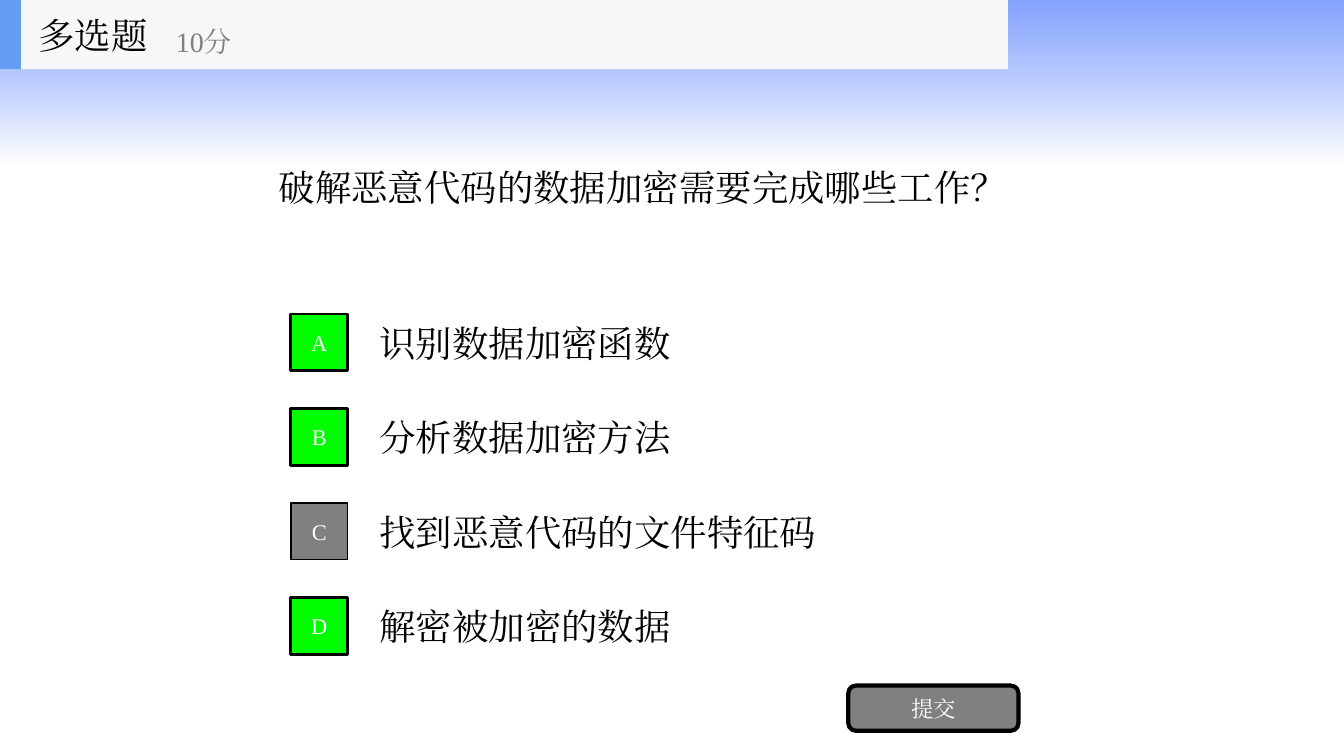
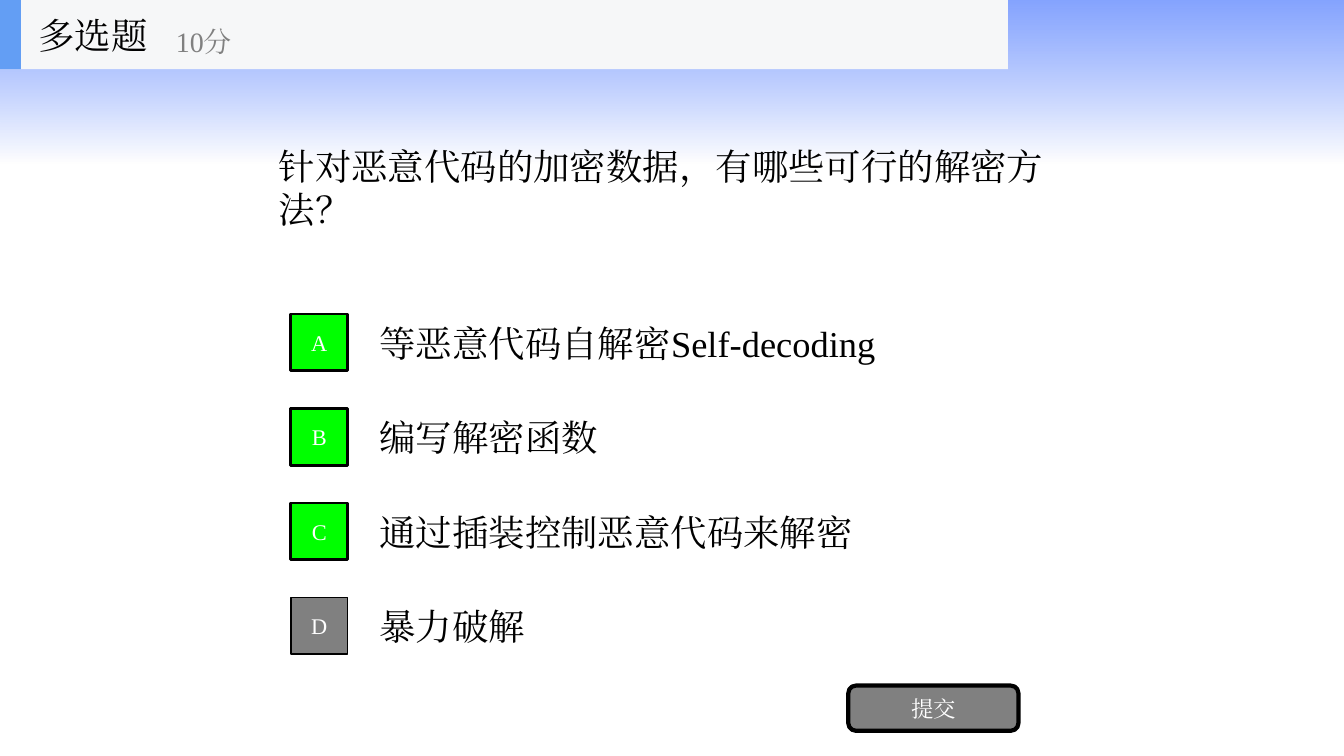
from lxml import etree
from pptx import Presentation
from pptx.dml.color import RGBColor
from pptx.enum.shapes import MSO_SHAPE
from pptx.enum.text import MSO_ANCHOR, PP_ALIGN
from pptx.oxml.ns import qn
from pptx.util import Pt

EMU_PER_PX = 9525
FONT = "Times New Roman"

# Shared colours
BLACK, WHITE, GRAY = "000000", "FFFFFF", "808080"
CORRECT, BAND_BLUE = "00FF00", "3366FF"
HEADER_FILL, HEADER_ACCENT = "F6F7F8", "639EF4"

# Shared text styles
BODY = {"size": Pt(26), "color": BLACK}
POINTS = {"size": Pt(20), "color": GRAY}
LABEL = {"size": Pt(16), "color": WHITE}

# Option rows
OPTION_TOP, OPTION_STEP = 293, 90

QUESTIONS = [
    ("破解恶意代码的数据加密需要完成哪些工作？",
     ["识别数据加密函数", "分析数据加密方法", "找到恶意代码的文件特征码", "解密被加密的数据"],
     "ABD"),
    ("针对恶意代码的加密数据，有哪些可行的解密方法？",
     ["等恶意代码自解密Self-decoding", "编写解密函数", "通过插装控制恶意代码来解密", "暴力破解"],
     "ABC"),
]


def px(*lengths):
    return [length * EMU_PER_PX for length in lengths]


def rgb(color):
    return RGBColor.from_string(color)


def write_text(shape, text, style, align=PP_ALIGN.LEFT):
    frame = shape.text_frame
    for name, value in {"word_wrap": True, "vertical_anchor": MSO_ANCHOR.MIDDLE}.items():
        setattr(frame, name, value)
    paragraph = frame.paragraphs[0]
    paragraph.alignment = align
    run = paragraph.add_run()
    run.text = text
    for name, value in {"name": FONT, "size": style["size"]}.items():
        setattr(run.font, name, value)
    run.font.color.rgb = rgb(style["color"])
    # East Asian characters use the same font
    etree.SubElement(run.font._element, qn("a:ea"), typeface=FONT)


def add_text(shapes, box, text, style):
    write_text(shapes.add_textbox(*px(*box)), text, style)


def add_block(shapes, box, fill, line_width=0, text=None, kind=MSO_SHAPE.RECTANGLE):
    shape = shapes.add_shape(kind, *px(*box))
    shape.shadow.inherit = False
    shape.fill.solid()
    shape.fill.fore_color.rgb = rgb(fill)
    if line_width:
        shape.line.color.rgb = rgb(BLACK)
        shape.line.width = Pt(line_width)
    else:
        shape.line.fill.background()
    if text:
        write_text(shape, text, LABEL, PP_ALIGN.CENTER)
    return shape


def add_gradient_band(shapes):
    band = add_block(shapes, (0, 0, 1280, 156), BAND_BLUE)
    band.fill.gradient()
    band.fill.gradient_angle = 270
    stops = [(BAND_BLUE, 60), (WHITE, 70)]
    for stop, (color, _) in zip(band.fill.gradient_stops, stops):
        stop.color.rgb = rgb(color)
    # Opacity of each stop
    for element, (_, opacity) in zip(band._element.spPr.iter(qn("a:srgbClr")), stops):
        etree.SubElement(element, qn("a:alpha"), val=str(opacity * 1000))


def add_header(slide):
    shapes = slide.shapes.add_group_shape().shapes
    add_block(shapes, (0, 0, 960, 66), HEADER_FILL)
    add_block(shapes, (0, 0, 20, 66), HEADER_ACCENT)
    add_text(shapes, (27, 0, 200, 66), "多选题", BODY)
    add_text(shapes, (158, 12, 240, 54), "10分", POINTS)


def add_option(shapes, index, letter, text, is_correct):
    top = OPTION_TOP + index * OPTION_STEP
    add_text(shapes, (352, top, 672, 67), text, BODY)
    fill, line_width = (CORRECT, 2) if is_correct else (GRAY, 1)
    add_block(shapes, (277, top + 6, 54, 54), fill, line_width, letter)


def add_question_slide(presentation, question, options, answers):
    slide = presentation.slides.add_slide(presentation.slide_layouts[6])
    shapes = slide.shapes
    add_gradient_band(shapes)
    add_text(shapes, (256, 66, 768, 225), question, BODY)
    for index, (letter, text) in enumerate(zip("ABCD", options)):
        add_option(shapes, index, letter, text, letter in answers)
    # Submit button
    add_block(shapes, (808, 653, 162, 43), GRAY, 3, "提交", MSO_SHAPE.ROUNDED_RECTANGLE)
    add_header(slide)


def main():
    presentation = Presentation()
    presentation.slide_width, presentation.slide_height = px(1280, 720)
    for question in QUESTIONS:
        add_question_slide(presentation, *question)
    presentation.save("out.pptx")


if __name__ == "__main__":
    main()
